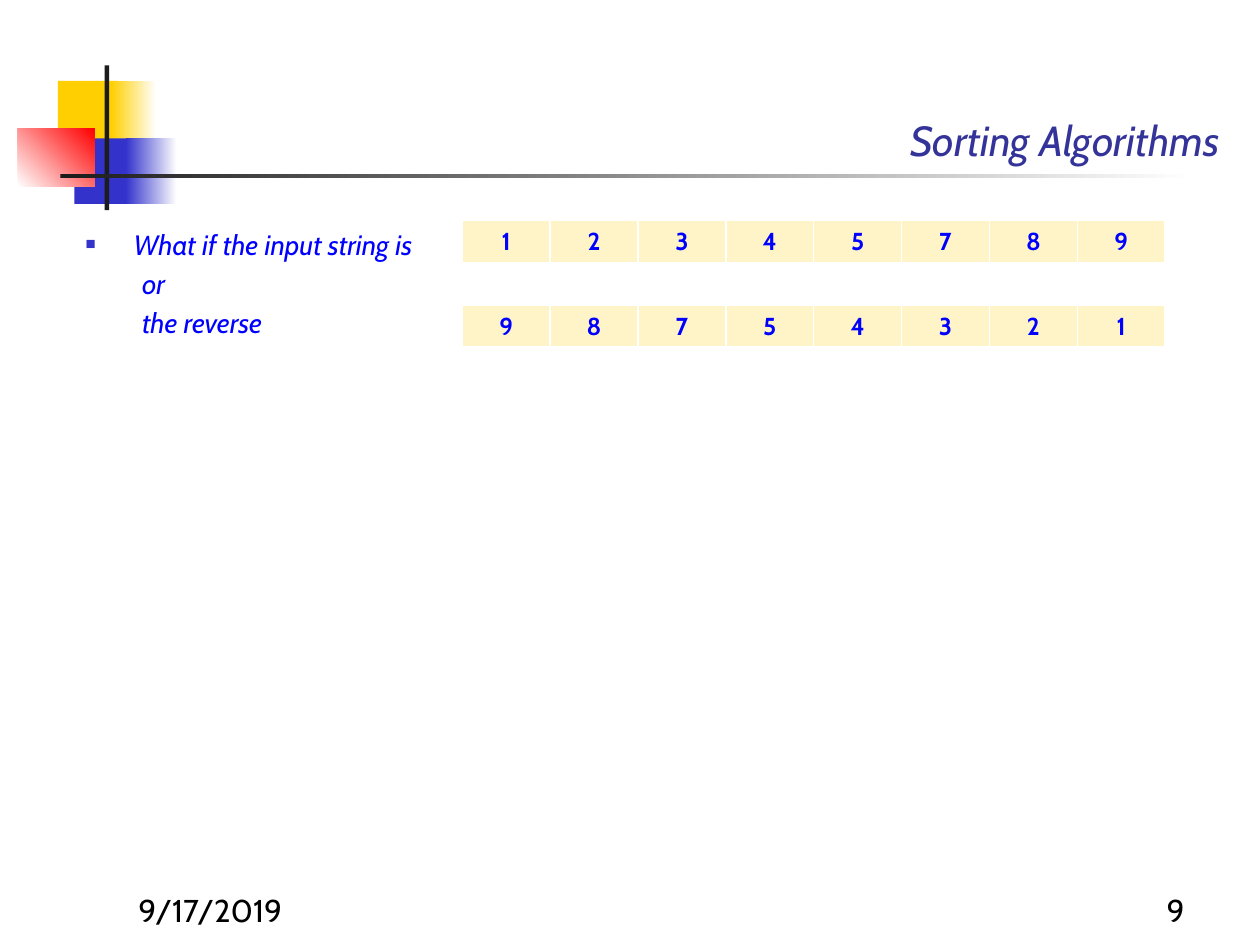
from dataclasses import dataclass

from lxml import etree
from pptx import Presentation
from pptx.dml.color import RGBColor
from pptx.enum.shapes import MSO_SHAPE
from pptx.enum.text import MSO_ANCHOR, MSO_AUTO_SIZE, PP_ALIGN
from pptx.oxml.ns import qn
from pptx.util import Cm, Pt

RECT = MSO_SHAPE.RECTANGLE
BOTTOM = MSO_ANCHOR.BOTTOM
FIXED = MSO_AUTO_SIZE.NONE
LEFT, CENTER, RIGHT = PP_ALIGN.LEFT, PP_ALIGN.CENTER, PP_ALIGN.RIGHT


@dataclass(frozen=True)
class Theme:
    font: str = "Cabin"
    gold: str = "FFCF01"
    blue: str = "3333CC"
    red: str = "FF0000"
    dark: str = "1C1C1C"
    white: str = "FFFFFF"
    black: str = "000000"
    title: str = "333399"
    text: str = "0000FF"
    cell: str = "FFF4C8"
    title_size: float = 24
    body_size: float = 16
    cell_size: float = 14
    foot_size: float = 18


def rgb(code):
    return RGBColor.from_string(code)


def add(parent, tag, **attrs):
    return etree.SubElement(parent, qn(tag), attrs)


def place(shape, box):
    shape.left, shape.top, shape.width, shape.height = map(Cm, box)


class Deck:
    def __init__(self, theme):
        self.theme = theme
        self.prs = Presentation()
        self.prs.slide_width, self.prs.slide_height = Cm(25.4), Cm(19.05)
        self.slide = self.prs.slides.add_slide(self.prs.slide_layouts[1])

    def style(self, para, size, color, align=LEFT, bold=False, italic=False):
        para.alignment = align
        font = para.font
        font.name, font.size = self.theme.font, Pt(size)
        font.bold, font.italic = bold, italic
        font.color.rgb = rgb(color)

    def block(self, box, color, end=None, angle=0):
        """Rectangle, plain or fading from color to end."""
        shape = self.slide.shapes.add_shape(RECT, *map(Cm, box))
        shape.shadow.inherit = False
        shape.line.fill.background()
        fill = shape.fill
        if end is None:
            fill.solid()
            fill.fore_color.rgb = rgb(color)
            return
        fill.gradient()
        fill.gradient_angle = angle
        for stop, code in zip(fill.gradient_stops, (color, end)):
            stop.color.rgb = rgb(code)

    def title(self, box, text):
        shape = self.slide.shapes.title
        place(shape, box)
        frame = shape.text_frame
        frame.text = text
        frame.vertical_anchor, frame.auto_size = BOTTOM, FIXED
        self.style(frame.paragraphs[0], self.theme.title_size,
                   self.theme.title, RIGHT, italic=True)

    def body(self, box, lines):
        """First line has a bullet, the others continue below it."""
        shape = self.slide.placeholders[1]
        place(shape, box)
        frame = shape.text_frame
        frame.text = "\n".join(lines)
        frame.auto_size = FIXED
        for i, para in enumerate(frame.paragraphs):
            self.style(para, self.theme.body_size, self.theme.text, italic=True)
            para.space_before = Pt(0.2 * self.theme.body_size)
            props = para._p.get_or_add_pPr()
            hang = Cm(0.97)
            props.set("marL", str(Cm(1.14) if i else hang))
            props.set("indent", str(0 if i else -hang))
            if i:
                add(props, "a:buNone")
                continue
            add(add(props, "a:buClr"), "a:srgbClr", val=self.theme.blue)
            add(props, "a:buSzPct", val="60000")
            add(props, "a:buChar", char="■")

    def note(self, box, text, align=LEFT):
        frame = self.slide.shapes.add_textbox(*map(Cm, box)).text_frame
        frame.word_wrap, frame.vertical_anchor = True, BOTTOM
        frame.text = text
        self.style(frame.paragraphs[0], self.theme.foot_size,
                   self.theme.black, align)

    def edge(self, cell):
        props = cell._tc.get_or_add_tcPr()
        for side, width in (("L", 1), ("R", 1), ("T", 1), ("B", 3)):
            line = add(props, "a:ln" + side, w=str(Pt(width)))
            add(add(line, "a:solidFill"), "a:srgbClr", val=self.theme.white)

    def table(self, box, values):
        """One row of equal cells."""
        frame = self.slide.shapes.add_table(1, len(values), *map(Cm, box))
        grid = frame.table
        for col, value in zip(grid.columns, values):
            col.width = Cm(box[2] / len(values))
        for cell, value in zip(grid.rows[0].cells, values):
            cell.text = str(value)
            self.style(cell.text_frame.paragraphs[0], self.theme.cell_size,
                       self.theme.text, CENTER, bold=True)
            self.edge(cell)
            cell.fill.solid()
            cell.fill.fore_color.rgb = rgb(self.theme.cell)


def main():
    theme = Theme()
    deck = Deck(theme)

    # Corner ornament and title rule
    deck.block((1.17, 1.63, 1.22, 1.32), theme.gold)
    deck.block((2.24, 1.63, 0.91, 1.32), theme.gold, theme.white)
    deck.block((1.5, 2.79, 1.17, 1.32), theme.blue)
    deck.block((2.54, 2.79, 1.02, 1.32), theme.blue, theme.white)
    deck.block((0.36, 2.59, 1.55, 1.17), theme.white, theme.red, 45)
    deck.block((2.11, 1.32, 0.09, 2.92), theme.dark)
    deck.block((1.22, 3.51, 22.86, 0.09), theme.dark, theme.white)

    # Title and question
    deck.title((3.2, 0.28, 21.64, 3.18), "Sorting Algorithms")
    deck.body((1.47, 4.45, 23.22, 12.47),
              ["What if the input string is", "or", "the reverse"])

    # Sorted input and its reverse
    items = [1, 2, 3, 4, 5, 7, 8, 9]
    for top, row in ((4.45, items), (6.15, items[::-1])):
        deck.table((9.32, top, 14.17, 0.88), row)

    # Footer
    deck.note((2.54, 17.58, 5.28, 1.27), "9/17/2019")
    deck.note((18.85, 17.58, 5.28, 1.27), "9", RIGHT)

    deck.prs.save("out.pptx")


if __name__ == "__main__":
    main()
